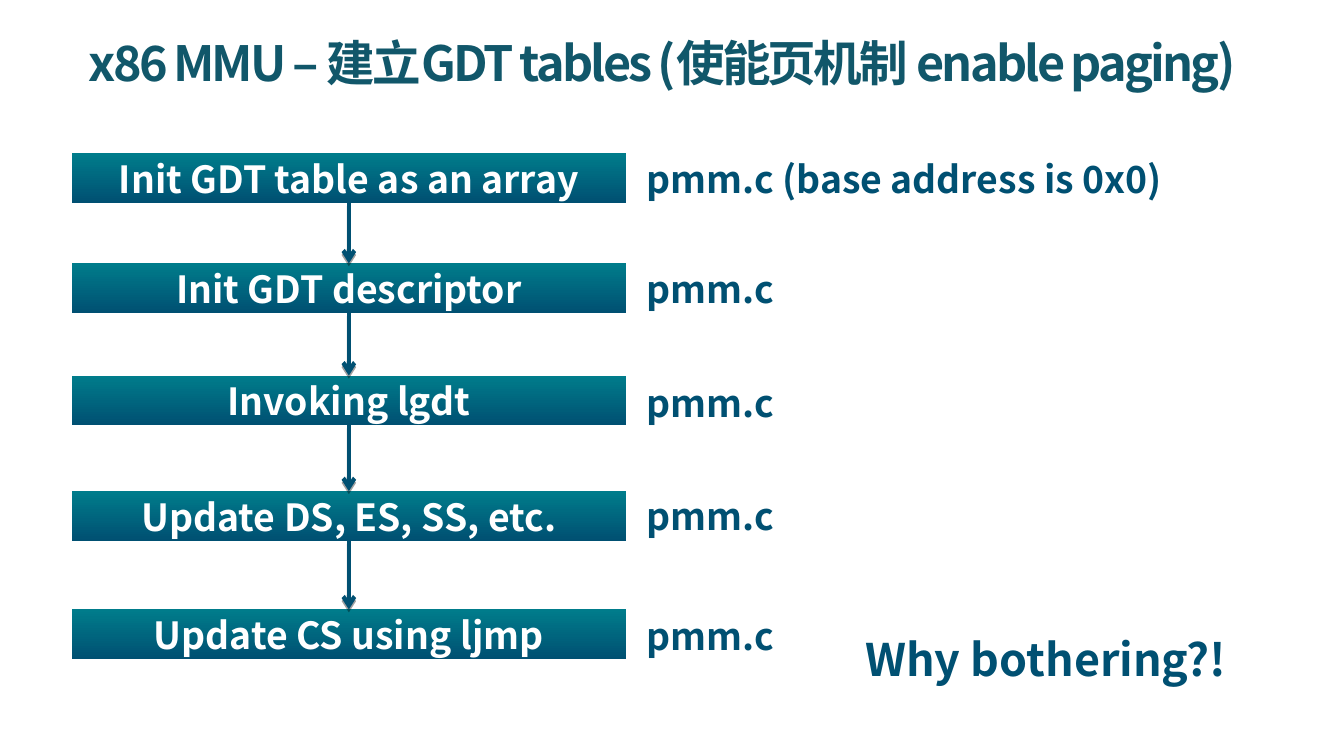
import pptx
import pptx.util
import pptx.dml.color
import pptx.enum.dml
import pptx.enum.shapes
import pptx.enum.text
import pptx.oxml
import pptx.oxml.ns

COLORS = {
    "title": "11576A",
    "navy": "005072",
    "teal": "007C8B",
    "white": "FFFFFF",
}
FONT = "Noto Sans CJK SC"
CELL = pptx.util.Inches(0.1)
COLUMNS, ROWS = 100, 56.25

STEP_LEFT, STEP_WIDTH, STEP_HEIGHT = 5.36, 41.2, 3.7
LABEL_LEFT, LABEL_HEIGHT = 47.1, 4.4
STEPS = [
    (11.4, "Init GDT table as an array", 11.1, "pmm.c (base address is 0x0)", 41.9),
    (19.6, "Init GDT descriptor", 19.3, "pmm.c", 11.7),
    (27.95, "Invoking lgdt", 27.8, "pmm.c", 11.7),
    (36.55, "Update DS, ES, SS, etc.", 36.2, "pmm.c", 11.7),
    (45.35, "Update CS using ljmp", 45.1, "pmm.c", 11.7),
]

ALIGN = pptx.enum.text.PP_ALIGN
ANCHOR = pptx.enum.text.MSO_ANCHOR


def cells(*counts):
    return [round(count * CELL) for count in counts]


def rgb(name):
    return pptx.dml.color.RGBColor.from_string(COLORS[name])


def write(holder, text, size=20, color="navy", align=ALIGN.LEFT,
          anchor=ANCHOR.TOP, line_spacing=None, tracking=None):
    frame = holder.text_frame
    frame.word_wrap = True
    frame.auto_size = pptx.enum.text.MSO_AUTO_SIZE.NONE
    frame.vertical_anchor = anchor
    paragraph = frame.paragraphs[0]
    paragraph.alignment = align
    paragraph.line_spacing = line_spacing
    run = paragraph.add_run()
    run.text = text
    run.font.size = pptx.util.Pt(size)
    run.font.bold = True
    run.font.name = FONT
    run.font.color.rgb = rgb(color)
    properties = run.font._element
    east_asian = pptx.oxml.parse_xml(
        f'<a:ea {pptx.oxml.ns.nsdecls("a")} typeface="{FONT}"/>')
    properties.find(pptx.oxml.ns.qn("a:latin")).addnext(east_asian)
    if tracking is not None:
        properties.set("spc", str(round(tracking * 100)))


def add_title(slide, text):
    title = slide.shapes.title
    title.left, title.top, title.width, title.height = cells(5.6, 2.3, 94.1, 5.2)
    write(title, text, size=26, color="title", line_spacing=0.95, tracking=-1.5)


def add_label(slide, text, left, top, width, height=LABEL_HEIGHT, **style):
    label = slide.shapes.add_textbox(*cells(left, top, width, height))
    write(label, text, **style)


def add_step(slide, text, top):
    step = slide.shapes.add_shape(
        pptx.enum.shapes.MSO_SHAPE.FLOWCHART_PROCESS,
        *cells(STEP_LEFT, top, STEP_WIDTH, STEP_HEIGHT))
    step.shadow.inherit = False
    step.line.fill.background()
    step.fill.gradient()
    step.fill.gradient_angle = 270
    for stop, color in zip(step.fill.gradient_stops, ("teal", "navy")):
        stop.color.rgb = rgb(color)
    write(step, text, color="white", align=ALIGN.CENTER, anchor=ANCHOR.MIDDLE)
    return step


def add_arrow(slide, upper, lower):
    arrow = slide.shapes.add_connector(
        pptx.enum.shapes.MSO_CONNECTOR.STRAIGHT, 0, 0, 0, 0)
    arrow.begin_connect(upper, 2)
    arrow.end_connect(lower, 0)
    arrow.line.color.rgb = rgb("navy")
    arrow.line.width = pptx.util.Pt(2.25)
    namespace = pptx.oxml.ns.nsdecls("a")
    arrow.line._get_or_add_ln().append(
        pptx.oxml.parse_xml(f'<a:tailEnd {namespace} type="arrow"/>'))
    arrow._element.spPr.append(pptx.oxml.parse_xml(
        f'<a:effectLst {namespace}>'
        f'<a:outerShdw blurRad="0" dist="{pptx.util.Pt(1.6)}" dir="5400000" rotWithShape="0">'
        '<a:srgbClr val="000000"><a:alpha val="36000"/></a:srgbClr>'
        '</a:outerShdw></a:effectLst>'))


def main():
    deck = pptx.Presentation()
    deck.slide_width, deck.slide_height = cells(COLUMNS, ROWS)
    slide = deck.slides.add_slide(deck.slide_layouts[5])

    add_title(slide, "x86 MMU – 建立GDT tables (使能页机制 enable paging)")
    flow = [add_step(slide, action, top) for top, action, _, _, _ in STEPS]
    for upper, lower in zip(flow, flow[1:]):
        add_arrow(slide, upper, lower)
    for _, _, top, source_file, width in STEPS:
        add_label(slide, source_file, LABEL_LEFT, top, width)
    add_label(slide, "Why bothering?!", 63.4, 46.5, 30.4, height=5, size=24)

    deck.save("out.pptx")


if __name__ == "__main__":
    main()
